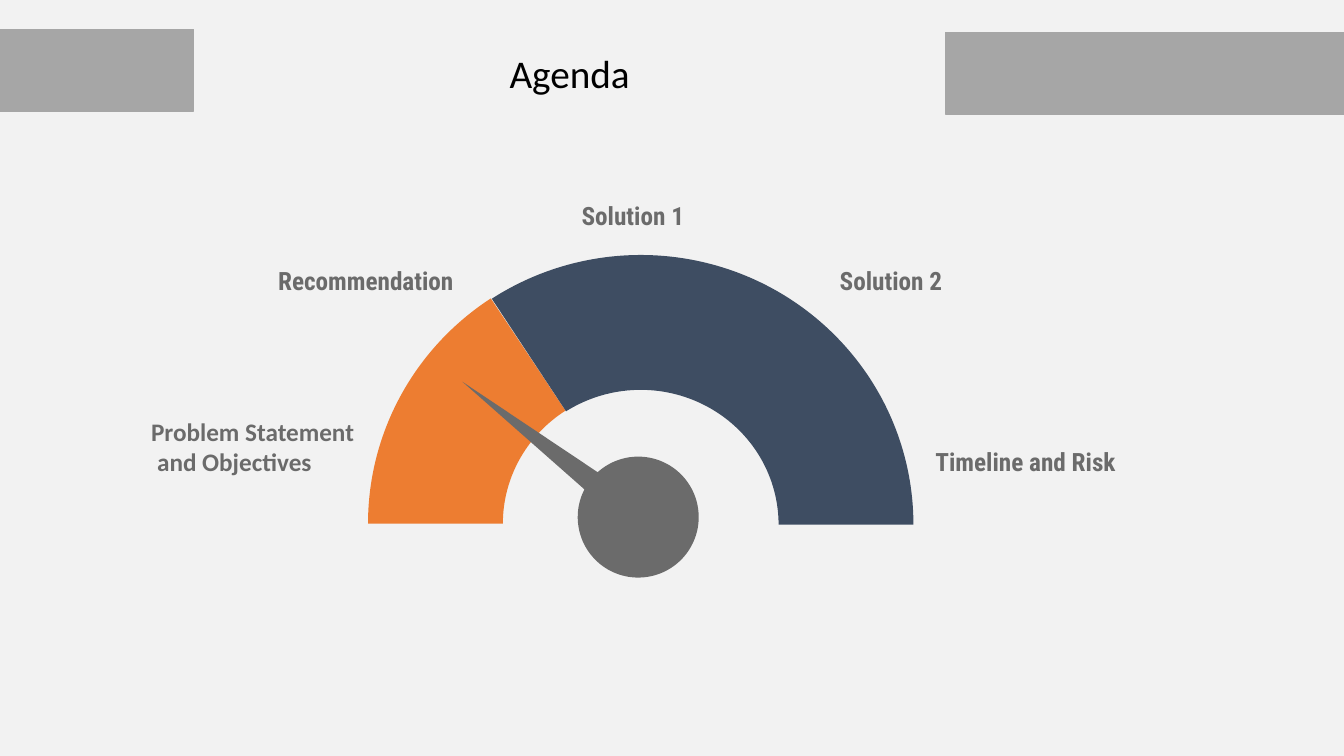
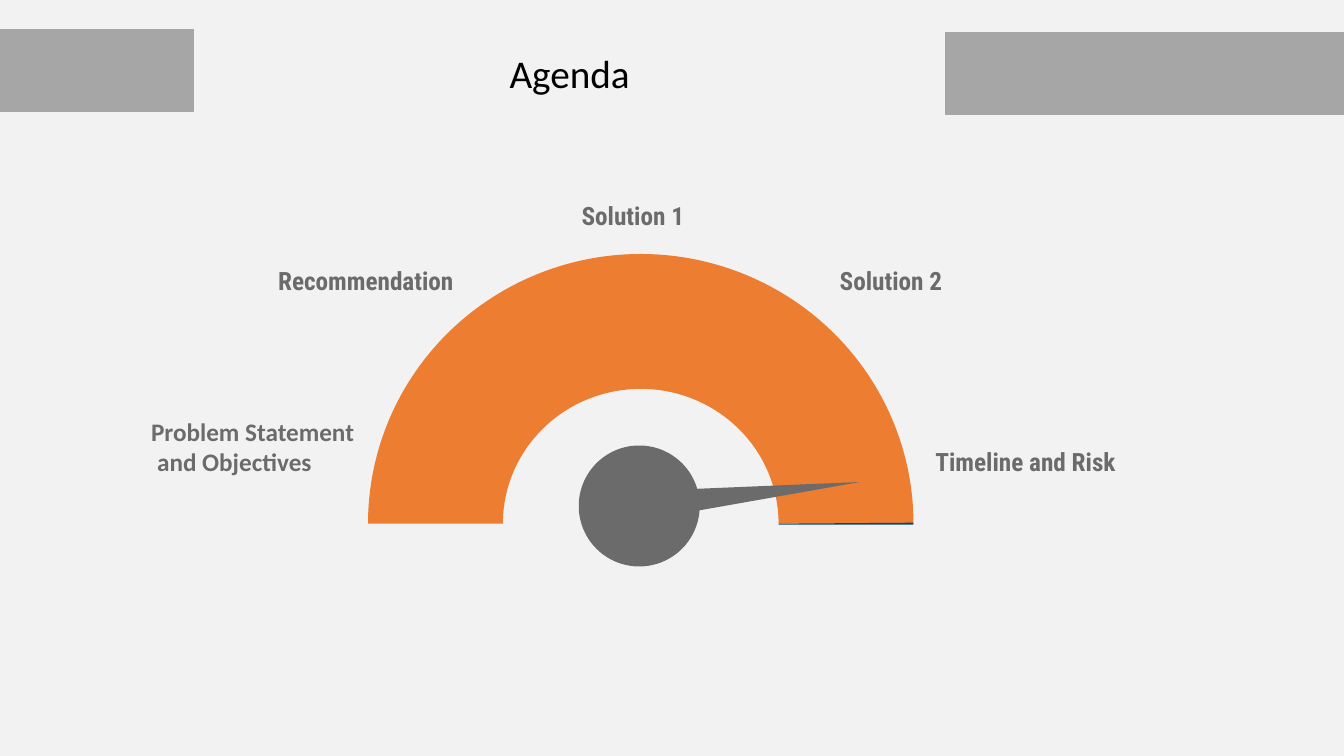
import math

from pptx import Presentation
from pptx.dml.color import RGBColor
from pptx.enum import shapes, text
from pptx.util import Inches, Pt

BACKGROUND = "F2F2F2"
BAND = "A6A6A6"
GREY = "6B6B6B"
ORANGE = "ED7D31"
NAVY = "3E4D62"
BLUE = "014884"
BLACK = "000000"

TITLE = "Agenda"
TITLE_BOX = (1.92, 0.32, 7.46, 0.81)
BANDS = [(0, 0.29, 1.92, 0.81), (9.38, 0.32, 3.96, 0.81)]

LABEL_WIDTH = 4.27
LABELS = [
    (["Problem Statement", "and Objectives"], 1.4, 4.08, 1.01, "Calibri"),
    (["Solution 1"], 5.67, 1.94, 0.4, "Roboto Condensed"),
    (["Recommendation"], 2.66, 2.58, 0.4, "Roboto Condensed"),
    (["Timeline and Risk"], 9.18, 4.38, 0.4, "Roboto Condensed"),
    (["Solution 2"], 8.23, 2.58, 0.4, "Roboto Condensed"),
]
SECOND_LINE_INDENT = 0.06

DONE_BOX = (3.65, 2.52, 5.41, 5.35)
REMAINING_BOX = (3.65, 2.53, 5.41, 5.35)
RING = 0.25
ANGLE_UNIT = 0.6

HUB_RADIUS = 0.6
NEEDLE_LENGTH = 2.2
NEEDLE_HALF_ANGLE = 10.3
ARC_STEPS = 120

GAUGES = [
    {"done": (180, 236.35), "remaining": (236.62, 0), "remaining_color": NAVY,
     "hub": (6.33, 5.13), "needle": 217.6},
    {"done": (180, 0), "remaining": (359.59, 0), "remaining_color": BLUE,
     "hub": (6.34, 5.02), "needle": -6.2},
]


def rgb(color):
    return RGBColor.from_string(color)


def paint(shape, color, outlined=False):
    shape.shadow.inherit = False
    shape.fill.solid()
    shape.fill.fore_color.rgb = rgb(color)
    if outlined:
        shape.line.color.rgb = rgb(color)
        shape.line.width = Pt(1)
    else:
        shape.line.fill.background()


def add_preset(slide, preset, box, color, outlined=False):
    shape = slide.shapes.add_shape(preset, *map(Inches, box))
    paint(shape, color, outlined)
    return shape


def add_text(slide, lines, box, size, font, color, bold=False, align=None,
             anchor=text.MSO_ANCHOR.TOP, later_indent=0):
    frame = slide.shapes.add_textbox(*map(Inches, box)).text_frame
    frame.word_wrap = True
    frame.vertical_anchor = anchor
    for number, line in enumerate(lines):
        paragraph = frame.add_paragraph() if number else frame.paragraphs[0]
        if number and later_indent:
            paragraph._p.get_or_add_pPr().set("marL", str(Inches(later_indent)))
        paragraph.alignment = align
        run = paragraph.add_run()
        run.text = line
        run.font.size = Pt(size)
        run.font.name = font
        run.font.bold = bold
        run.font.color.rgb = rgb(color)


def add_arc(slide, box, angles, color):
    arc = add_preset(slide, shapes.MSO_SHAPE.BLOCK_ARC, box, color)
    for index, angle in enumerate(angles):
        arc.adjustments[index] = angle * ANGLE_UNIT
    arc.adjustments[2] = RING


def add_needle(slide, hub, angle):
    def polar(radius, degrees):
        turn = math.radians(degrees)
        return (Inches(hub[0] + radius * math.cos(turn)),
                Inches(hub[1] + radius * math.sin(turn)))

    start = angle + NEEDLE_HALF_ANGLE
    step = (360 - 2 * NEEDLE_HALF_ANGLE) / ARC_STEPS
    rim = [polar(HUB_RADIUS, start + step * i) for i in range(ARC_STEPS + 1)]
    builder = slide.shapes.build_freeform(*polar(NEEDLE_LENGTH, angle))
    builder.add_line_segments(rim, close=True)
    paint(builder.convert_to_shape(), GREY)


def add_agenda(presentation, gauge):
    slide = presentation.slides.add_slide(presentation.slide_layouts[6])
    slide.background.fill.solid()
    slide.background.fill.fore_color.rgb = rgb(BACKGROUND)
    add_arc(slide, DONE_BOX, gauge["done"], ORANGE)
    add_arc(slide, REMAINING_BOX, gauge["remaining"], gauge["remaining_color"])
    add_needle(slide, gauge["hub"], gauge["needle"])
    for lines, left, top, height, font in LABELS:
        add_text(slide, lines, (left, top, LABEL_WIDTH, height), 18, font, GREY,
                 bold=True, later_indent=SECOND_LINE_INDENT)
    for box in BANDS:
        add_preset(slide, shapes.MSO_SHAPE.RECTANGLE, box, BAND, outlined=True)
    add_text(slide, [TITLE], TITLE_BOX, 28, "Calibri", BLACK,
             align=text.PP_ALIGN.CENTER, anchor=text.MSO_ANCHOR.MIDDLE)


def main():
    presentation = Presentation()
    presentation.slide_width = Inches(13.33)
    presentation.slide_height = Inches(7.5)
    for gauge in GAUGES:
        add_agenda(presentation, gauge)
    presentation.save("out.pptx")


if __name__ == "__main__":
    main()
